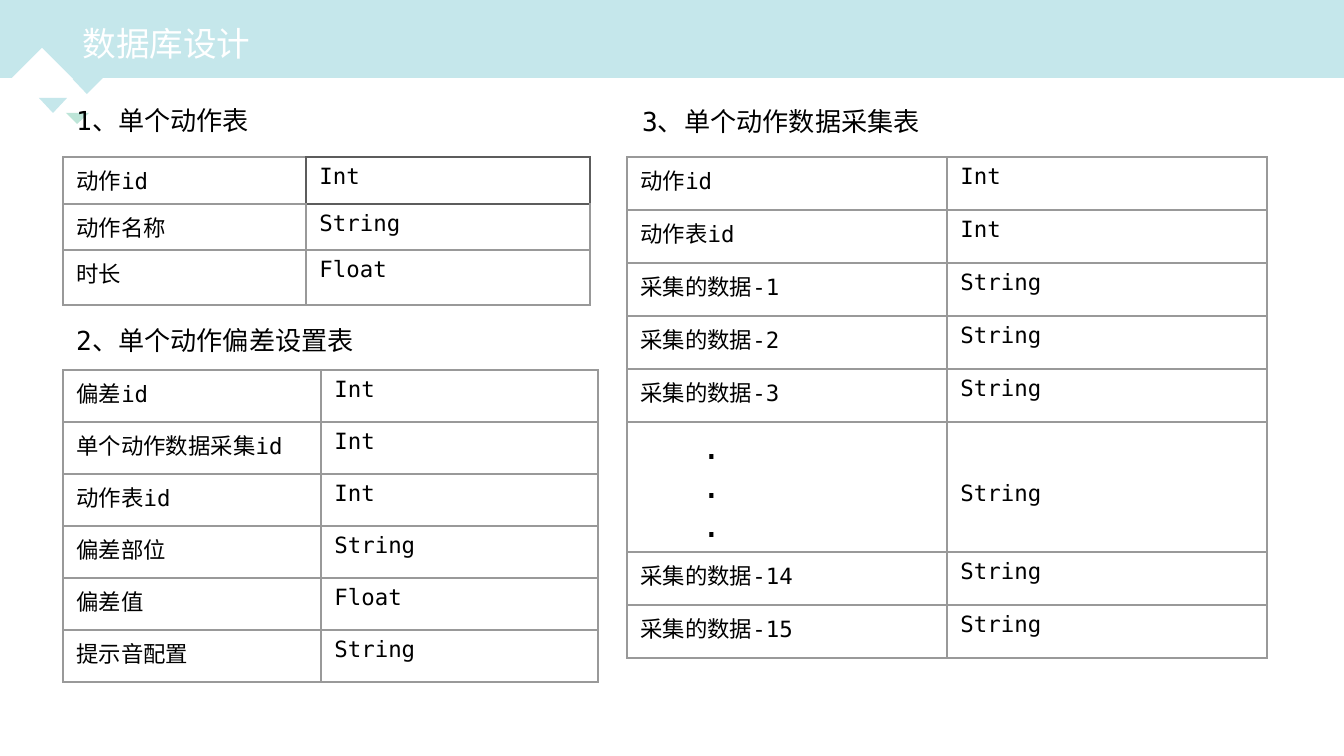
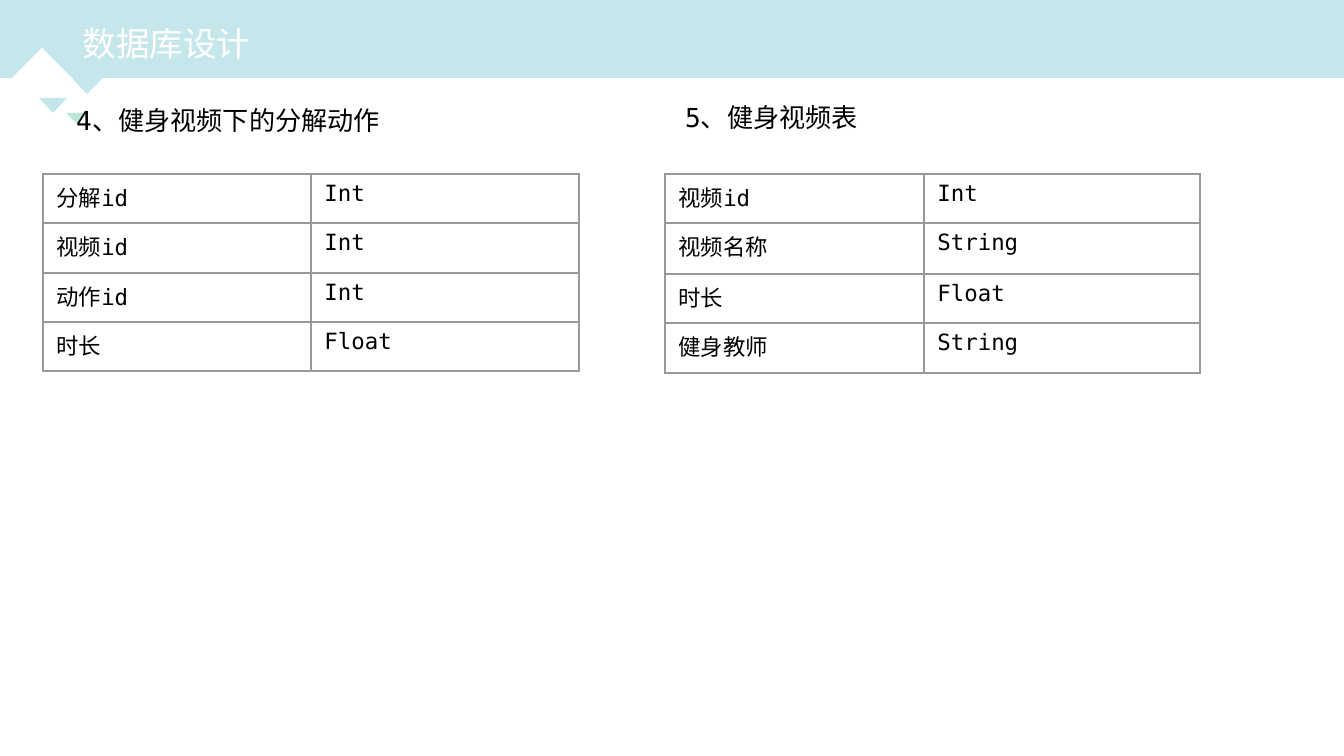
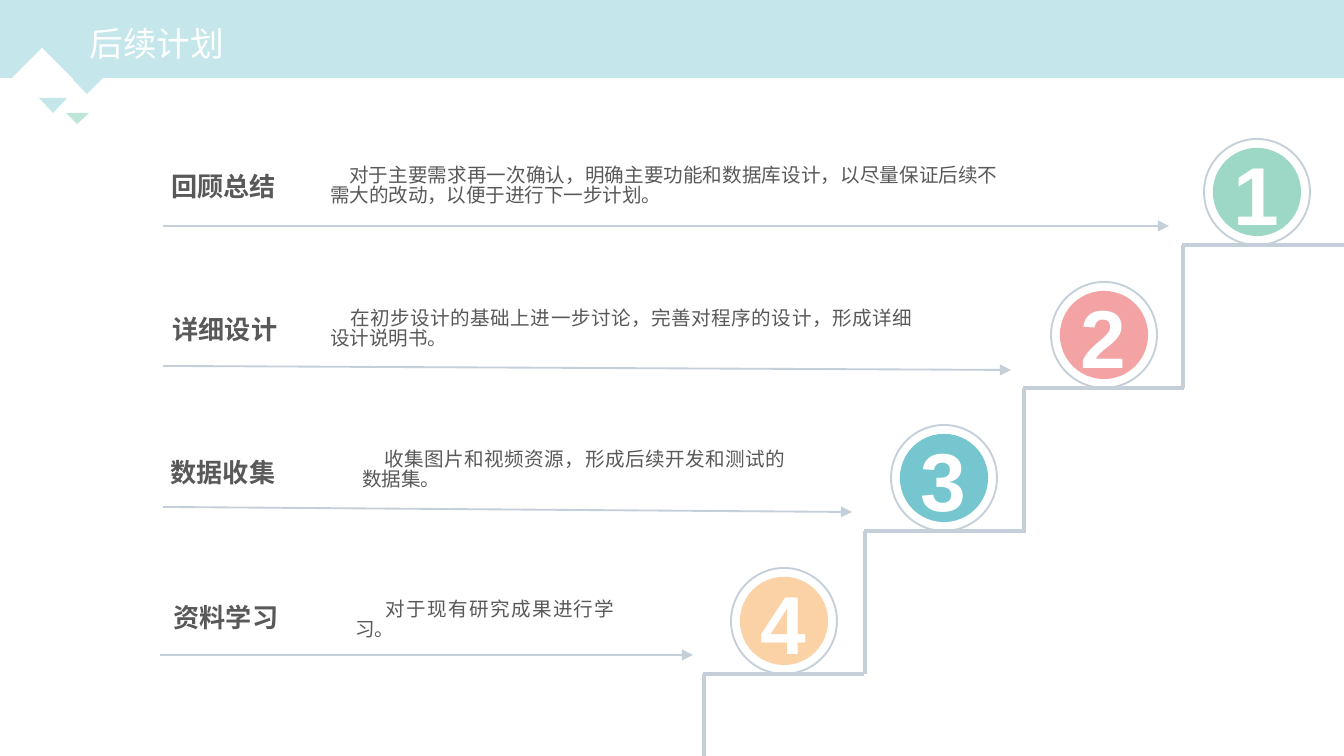
from dataclasses import dataclass

from lxml.etree import SubElement
from pptx import Presentation
from pptx.dml.color import RGBColor
from pptx.enum.shapes import MSO_CONNECTOR, MSO_SHAPE
from pptx.enum.text import MSO_ANCHOR, MSO_AUTO_SIZE, PP_ALIGN
from pptx.oxml.ns import qn
from pptx.util import Pt

EMU_PER_PX = 914400 / 134.4
SLIDE_WIDTH, SLIDE_HEIGHT = 1344, 756
BORDER_TAGS = ("a:lnL", "a:lnR", "a:lnT", "a:lnB")


@dataclass(frozen=True)
class Theme:
    white: str = "FFFFFF"
    black: str = "000000"
    band: str = "C5E7EB"
    accent: str = "BDE5D8"
    border: str = "999999"
    dark_border: str = "5C5C5C"
    gray_text: str = "595959"
    stair: str = "C4CFD9"
    mono: str = "DejaVu Sans Mono"
    sans: str = "Noto Sans CJK SC"
    numeral_font: str = "Arial"
    title_size: float = 18
    heading_size: float = 14
    cell_size: float = 12
    dots_size: float = 18
    body_size: float = 10.5
    numeral_size: float = 44
    thin: float = 1
    thick: float = 2.25


@dataclass(frozen=True)
class Step:
    """One stair: tread, medal, arrow (x1, y1, x2, y2) and text boxes."""
    heading: str
    text: str
    color: str
    tread: tuple
    medal_left: int
    arrow: tuple
    heading_box: tuple
    text_box: tuple
    first_line: int


def px(length):
    return round(length * EMU_PER_PX)


def rgb(color):
    return RGBColor.from_string(color)


def write_text(frame, text, *, size, font, color, bold=False, align=PP_ALIGN.LEFT,
               spacing=None, indent=0, first_line=0):
    """Fill a text frame, one paragraph for each line of the text."""
    for index, line in enumerate(text.split("\n")):
        paragraph = frame.add_paragraph() if index else frame.paragraphs[0]
        paragraph.alignment = align
        if spacing:
            paragraph.line_spacing = spacing
        properties = paragraph._p.get_or_add_pPr()
        properties.set("marL", str(px(indent)))
        properties.set("indent", str(px(first_line)))
        run = paragraph.add_run()
        run.text = line
        run.font.size = Pt(size)
        run.font.bold = bold
        run.font.name = font
        run.font.color.rgb = rgb(color)
        east_asian = SubElement(run._r.get_or_add_rPr(), qn("a:ea"))
        east_asian.set("typeface", Theme.sans)


def set_borders(cell, colors, width):
    """Draw the left, right, top and bottom borders of a cell."""
    properties = cell._tc.get_or_add_tcPr()
    for tag, color in zip(BORDER_TAGS, colors):
        line = SubElement(properties, qn(tag), w=str(Pt(width)))
        fill = SubElement(line, qn("a:solidFill"))
        SubElement(fill, qn("a:srgbClr"), val=color)


class Deck:
    def __init__(self, theme):
        self.theme = theme
        self.presentation = Presentation()
        self.presentation.slide_width = px(SLIDE_WIDTH)
        self.presentation.slide_height = px(SLIDE_HEIGHT)
        self.layout = self.presentation.slide_layouts[5]
        self.slide = None

    def add_slide(self, title, left):
        theme = self.theme
        self.slide = self.presentation.slides.add_slide(self.layout)
        if len(self.presentation.slides) == 1:
            self.decorate_layout()
        shape = self.slide.shapes.title
        shape.left, shape.top, shape.width, shape.height = map(px, (left, 13, 900, 60))
        shape.text_frame.vertical_anchor = MSO_ANCHOR.MIDDLE
        write_text(shape.text_frame, title, size=theme.title_size, font=theme.sans,
                   color=theme.white)

    def decorate_layout(self):
        """Draw the band on the first slide and move it to the shared layout."""
        theme = self.theme
        for placeholder in list(self.layout.placeholders):
            if placeholder.placeholder_format.idx:
                placeholder._element.getparent().remove(placeholder._element)
        decoration = [
            self.shape(MSO_SHAPE.RECTANGLE, (0, 0, SLIDE_WIDTH, 78), fill=theme.band),
            self.polygon([(65, 71), (110, 71), (87, 94)], theme.band),
            self.polygon([(66, 113), (89, 113), (77, 124)], theme.accent),
            self.polygon([(11, 79), (73, 79), (42, 48)], theme.white),
            self.polygon([(39, 98), (67, 98), (53, 113)], theme.band),
        ]
        for position, shape in enumerate(decoration, start=2):
            self.layout.shapes._spTree.insert(position, shape._element)

    def paint(self, shape, fill=None, line=None, width=1):
        shape.shadow.inherit = False
        if fill:
            shape.fill.solid()
            shape.fill.fore_color.rgb = rgb(fill)
        else:
            shape.fill.background()
        if line:
            shape.line.color.rgb = rgb(line)
            shape.line.width = Pt(width)
        else:
            shape.line.fill.background()
        return shape

    def shape(self, kind, box, **style):
        return self.paint(self.slide.shapes.add_shape(kind, *map(px, box)), **style)

    def polygon(self, points, fill):
        builder = self.slide.shapes.build_freeform(*points[0], scale=EMU_PER_PX)
        builder.add_line_segments(points[1:], close=True)
        return self.paint(builder.convert_to_shape(), fill=fill)

    def line(self, ends, width, arrow=False):
        connector = self.slide.shapes.add_connector(MSO_CONNECTOR.STRAIGHT, *map(px, ends))
        connector.line.color.rgb = rgb(self.theme.stair)
        connector.line.width = Pt(width)
        properties = connector._element.spPr
        if arrow:
            SubElement(properties.find(qn("a:ln")), qn("a:tailEnd"), type="triangle")
        SubElement(properties, qn("a:effectLst"))

    def text(self, box, text, *, wrap=True, margin_top=7, **style):
        frame = self.slide.shapes.add_textbox(*map(px, box)).text_frame
        frame.word_wrap = wrap
        frame.auto_size = MSO_AUTO_SIZE.NONE if wrap else MSO_AUTO_SIZE.SHAPE_TO_FIT_TEXT
        frame.margin_top = px(margin_top)
        write_text(frame, text, **style)

    def caption(self, box, text):
        self.text(box, text, size=self.theme.heading_size, font=self.theme.mono,
                  color=self.theme.black, spacing=0.9)

    def table(self, left, top, columns, heights, fields, dark_cell=None):
        """Draw a table of (field, type) rows; dark_cell has darker borders."""
        theme = self.theme
        frame = self.slide.shapes.add_table(
            len(fields), 2, *map(px, (left, top, sum(columns), sum(heights))))
        table = frame.table
        table.first_row = table.horz_banding = False
        for column, width in zip(table.columns, columns):
            column.width = px(width)
        for row, height in zip(table.rows, heights):
            row.height = px(height)
        for row, field in enumerate(fields):
            dots = field[0].startswith(".")
            for column, text in enumerate(field):
                cell = table.cell(row, column)
                neighbours = ((row, column - 1), (row, column + 1),
                              (row - 1, column), (row + 1, column))
                colors = [theme.dark_border if dark_cell and dark_cell in ((row, column), side)
                          else theme.border for side in neighbours]
                set_borders(cell, colors, theme.thin)
                cell.fill.solid()
                cell.fill.fore_color.rgb = rgb(theme.white)
                is_dots = dots and column == 0
                if dots and column == 1:
                    cell.margin_top = px(59)
                write_text(cell.text_frame, text, font=theme.mono, color=theme.black,
                           size=theme.dots_size if is_dots else theme.cell_size,
                           indent=61 if is_dots else 0)

    def stair(self, step, bottom):
        left, right, top = step.tread
        self.line((left, top, right, top), self.theme.thick)
        self.line((left + 1, top, left + 1, bottom), self.theme.thick)

    def medal(self, number, step):
        theme = self.theme
        left, top = step.medal_left, step.tread[2] - 106
        self.shape(MSO_SHAPE.OVAL, (left, top, 106, 106), line=theme.stair, width=theme.thin)
        self.shape(MSO_SHAPE.OVAL, (left + 11, top + 11, 84, 84), fill=step.color,
                   line=step.color, width=theme.thick)
        self.text((left + 16, top - 3, 74, 113), str(number), wrap=False, bold=True,
                  size=theme.numeral_size, font=theme.numeral_font, color=theme.white)

    def plan(self, step):
        theme = self.theme
        self.line(step.arrow, theme.thin, arrow=True)
        self.text(step.heading_box, step.heading, margin_top=3, size=theme.heading_size,
                  font=theme.sans, color=theme.gray_text, bold=True, align=PP_ALIGN.CENTER)
        self.text(step.text_box, step.text, size=theme.body_size, font=theme.sans,
                  color=theme.gray_text, align=PP_ALIGN.JUSTIFY, spacing=0.83,
                  first_line=step.first_line)


STEPS = [
    Step("回顾总结",
         "对于主要需求再一次确认，明确主要功能和数据库设计，以尽量保证后续不需大的改动，以便于进行下一步计划。",
         "9CD8C5", (1182, 1344, 245), 1204, (163, 226, 1169, 226),
         (141, 167, 165, 46), (317, 160, 695, 63), 19),
    Step("详细设计",
         "在初步设计的基础上进一步讨论，完善对程序的设计，形成详细设计说明书。",
         "F4A3A4", (1023, 1184, 388), 1051, (163, 366, 1011, 370),
         (141, 310, 168, 46), (317, 303, 609, 63), 20),
    Step("数据收集",
         "收集图片和视频资源，形成后续开发和测试的数据集。",
         "75C6CF", (864, 1026, 531), 891, (163, 507, 852, 512),
         (126, 453, 194, 46), (349, 444, 450, 38), 22),
    Step("资料学习",
         "对于现有研究成果进行学习。",
         "FBD2A6", (703, 864, 674), 731, (160, 655, 693, 655),
         (142, 598, 168, 46), (342, 594, 286, 39), 30),
]


def add_action_tables(deck):
    deck.add_slide("数据库设计", 69)
    deck.table(63, 157, (243, 284), (47, 46, 55),
               [("动作id", "Int"), ("动作名称", "String"), ("时长", "Float")],
               dark_cell=(0, 1))
    deck.table(63, 370, (258, 277), [52] * 6,
               [("偏差id", "Int"), ("单个动作数据采集id", "Int"), ("动作表id", "Int"),
                ("偏差部位", "String"), ("偏差值", "Float"), ("提示音配置", "String")])
    deck.caption((63, 101, 261, 66), "1、单个动作表")
    deck.caption((63, 321, 391, 65), "2、单个动作偏差设置表")
    samples = [(f"采集的数据-{number}", "String") for number in (1, 2, 3, 14, 15)]
    deck.table(627, 157, (320, 320), [53] * 5 + [130] + [53] * 2,
               [("动作id", "Int"), ("动作表id", "Int"), *samples[:3],
                (".\n.\n.", "String"), *samples[3:]])
    deck.caption((629, 102, 606, 66), "3、单个动作数据采集表")


def add_video_tables(deck):
    deck.add_slide("数据库设计", 69)
    deck.table(665, 174, (259, 276), (49, 51, 49, 50),
               [("视频id", "Int"), ("视频名称", "String"), ("时长", "Float"),
                ("健身教师", "String")])
    deck.caption((63, 101, 391, 66), "4、健身视频下的分解动作")
    deck.caption((672, 98, 331, 65), "5、健身视频表")
    deck.table(43, 174, (268, 268), (49, 50, 49, 49),
               [("分解id", "Int"), ("视频id", "Int"), ("动作id", "Int"), ("时长", "Float")])


def add_plan_stairs(deck):
    deck.add_slide("后续计划", 76)
    bottoms = [step.tread[2] for step in STEPS[1:]] + [SLIDE_HEIGHT]
    for step, bottom in zip(STEPS, bottoms):
        deck.stair(step, bottom)
    for number, step in enumerate(STEPS, start=1):
        deck.medal(number, step)
        deck.plan(step)


def main():
    deck = Deck(Theme())
    add_action_tables(deck)
    add_video_tables(deck)
    add_plan_stairs(deck)
    deck.presentation.save("out.pptx")


if __name__ == "__main__":
    main()
